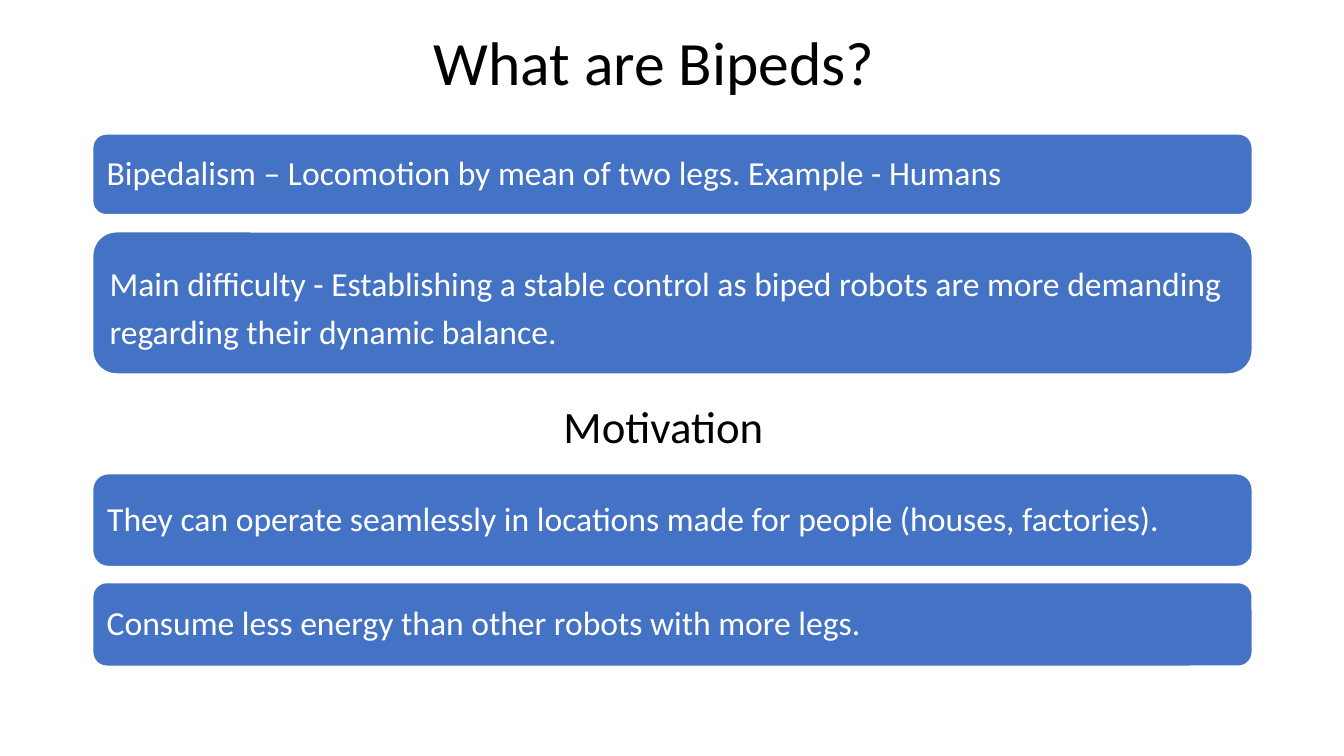
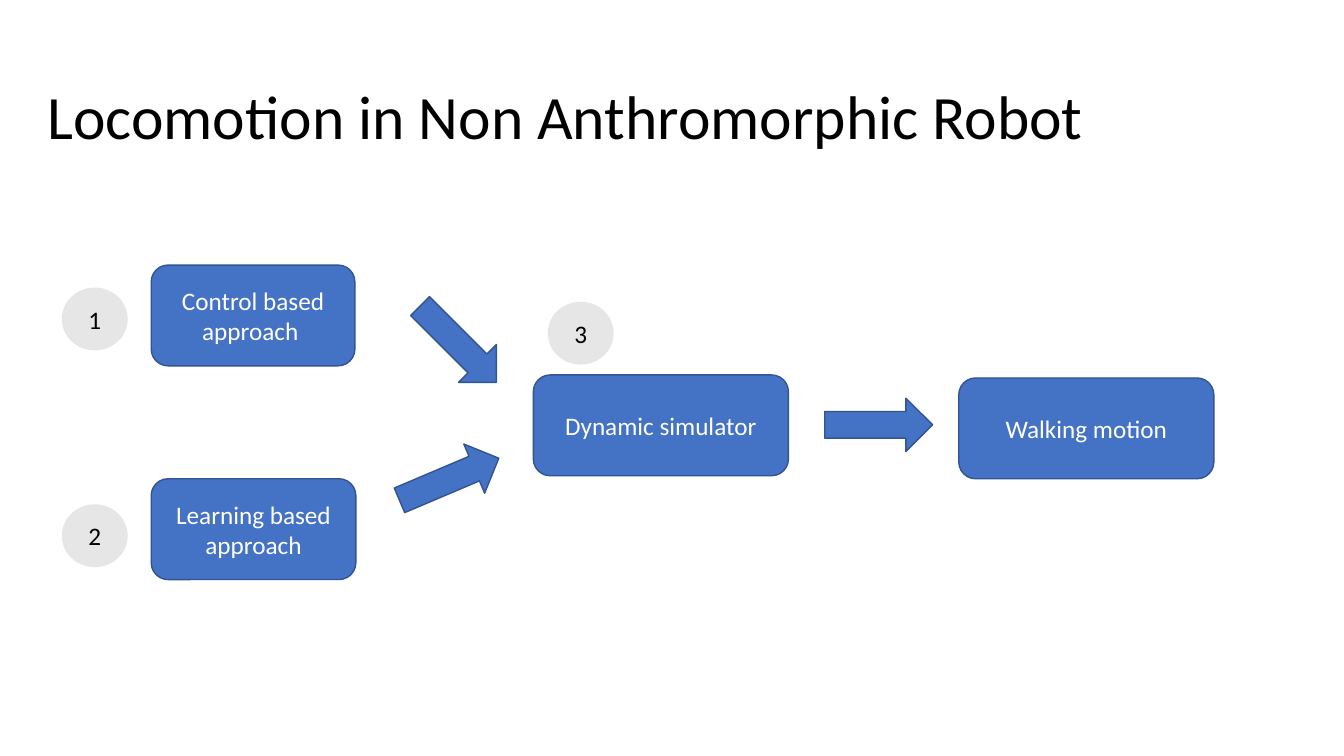
from pptx import Presentation
from pptx.dml.color import RGBColor
from pptx.enum.shapes import MSO_SHAPE
from pptx.enum.text import MSO_ANCHOR, MSO_AUTO_SIZE, PP_ALIGN
from pptx.util import Inches, Pt

ROUND, OVAL, ARROW = (MSO_SHAPE.ROUNDED_RECTANGLE, MSO_SHAPE.OVAL,
                      MSO_SHAPE.RIGHT_ARROW)
LEFT, CENTER = PP_ALIGN.LEFT, PP_ALIGN.CENTER
MIDDLE = MSO_ANCHOR.MIDDLE
TITLE_ONLY = 5

FONT = "Calibri"
COLORS = {"blue": "4472C4", "edge": "325491", "gray": "E7E6E6",
          "white": "FFFFFF", "black": "000000"}

# Statement bars: top, height, line spacing, text
BAR_LEFT, BAR_WIDTH = 0.92, 11.5
BARS = [
    (1.33, 0.8, 0.9, "Bipedalism – Locomotion by mean of two legs. Example - Humans"),
    (2.3, 1.41, 1.2, "Main difficulty - Establishing a stable control as biped robots "
                     "are more demanding regarding their dynamic balance."),
    (4.7, 0.92, 0.9, "They can operate seamlessly in locations made for people "
                     "(houses, factories). "),
    (5.78, 0.83, 0.9, "Consume less energy than other robots with more legs."),
]
MOTIVATION = ("Motivation", (3.34, 3.91, 6.48, 0.64))

# Flow steps: left, top, width, text
STEP_HEIGHT = 1
STEPS = [
    (1.5, 2.63, 2.02, "Control based approach "),
    (1.5, 4.75, 2.03, "Learning based approach"),
    (5.29, 3.72, 2.53, "Dynamic simulator"),
    (9.51, 3.75, 2.53, "Walking motion"),
]
# Arrows: left, top, rotation
ARROW_SIZE = (1.07, 0.53)
ARROWS = [(4.01, 3.15, 45), (8.18, 3.95, 0), (3.92, 4.49, 337)]
# Numbered badges: left, top
BADGE_SIZE = (0.64, 0.61)
BADGES = [(0.62, 2.86), (0.62, 5.01), (5.44, 3)]


def rgb(name):
    return RGBColor.from_string(COLORS[name])


def set_text(sp, text, size, color, align=CENTER, spacing=1.0):
    tf = sp.text_frame
    tf.text = text
    tf.word_wrap = True
    p = tf.paragraphs[0]
    p.alignment = align
    p.line_spacing = spacing
    font = p.runs[0].font
    font.name, font.size = FONT, Pt(size)
    font.color.rgb = rgb(color)
    return tf


def add_titled_slide(prs, text, box, align):
    slide = prs.slides.add_slide(prs.slide_layouts[TITLE_ONLY])
    title = slide.shapes.title
    title.left, title.top, title.width, title.height = map(Inches, box)
    tf = set_text(title, text, 44, "black", align, 0.9)
    tf.vertical_anchor = MIDDLE
    tf.auto_size = MSO_AUTO_SIZE.NONE
    return slide


def add_block(slide, kind, box, fill="blue", line="edge"):
    sp = slide.shapes.add_shape(kind, *map(Inches, box))
    sp.shadow.inherit = False
    sp.fill.solid()
    sp.fill.fore_color.rgb = rgb(fill)
    sp.line.color.rgb = rgb(line)
    sp.line.width = Pt(1)
    sp.text_frame.vertical_anchor = MIDDLE
    return sp


def build_bipeds(prs):
    slide = add_titled_slide(prs, "What are Bipeds?", (0.74, 0.17, 11.5, 0.96), CENTER)
    for top, height, spacing, text in BARS:
        bar = add_block(slide, ROUND, (BAR_LEFT, top, BAR_WIDTH, height), line="white")
        set_text(bar, text, 24, "white", LEFT, spacing)
    text, box = MOTIVATION
    set_text(slide.shapes.add_textbox(*map(Inches, box)), text, 32, "black")


def build_locomotion(prs):
    slide = add_titled_slide(prs, "Locomotion in Non Anthromorphic Robot",
                             (0.37, 0.46, 11.5, 1.45), LEFT)
    for left, top, width, text in STEPS:
        step = add_block(slide, ROUND, (left, top, width, STEP_HEIGHT))
        set_text(step, text, 18, "white")
    for left, top, rotation in ARROWS:
        add_block(slide, ARROW, (left, top, *ARROW_SIZE)).rotation = rotation
    for number, position in enumerate(BADGES, 1):
        badge = add_block(slide, OVAL, (*position, *BADGE_SIZE), "gray", "gray")
        set_text(badge, str(number), 18, "black")


def main():
    prs = Presentation()
    prs.slide_width, prs.slide_height = Inches(13.33), Inches(7.5)
    build_bipeds(prs)
    build_locomotion(prs)
    prs.save("out.pptx")


if __name__ == "__main__":
    main()
